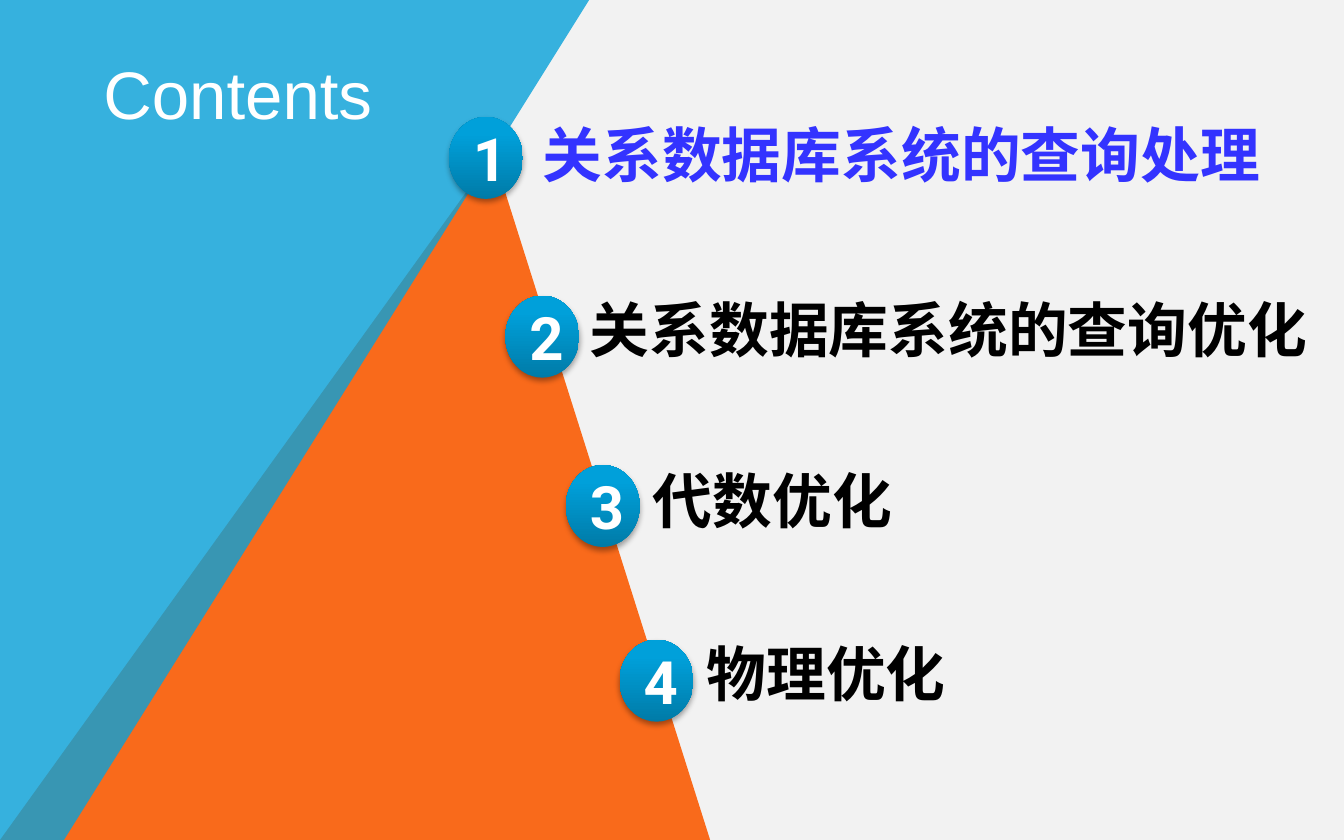
"""Build a contents slide with four numbered topics along a slope."""
import lxml.etree
import pptx
import pptx.dml.color
import pptx.enum.shapes
import pptx.enum.text
import pptx.oxml.ns
import pptx.util

Inches = pptx.util.Inches
RGBColor = pptx.dml.color.RGBColor

BACKGROUND = RGBColor(0xF2, 0xF2, 0xF2)
ORANGE = RGBColor(0xF9, 0x6A, 0x1B)
SKY = RGBColor(0x08, 0xA1, 0xD9)
DEEP_BLUE = RGBColor(0x00, 0x7B, 0xA8)
BRIGHT_BLUE = RGBColor(0x00, 0xA0, 0xDA)
CURRENT = RGBColor(0x33, 0x33, 0xFF)
BLACK = RGBColor(0, 0, 0)
WHITE = RGBColor(0xFF, 0xFF, 0xFF)

ORANGE_PEAK = [(0, 6.25), (3.67, 1.15), (5.29, 6.27)]
SKY_PANEL = [(-0.01, 6.29), (0, -0.01), (4.39, -0.01), (0.47, 6.26)]

TOPICS = [
    ("关系数据库系统的查询处理", CURRENT, (3.34, 0.87), (3.94, 0.83, 5.63)),
    ("关系数据库系统的查询优化", BLACK, (3.76, 2.2), (4.29, 2.13, 5.59)),
    ("代数优化", BLACK, (4.21, 3.46), (4.76, 3.4, 1.99)),
    ("物理优化", BLACK, (4.61, 4.76), (5.16, 4.69, 2.13)),
]


def add_child(parent, tag, **attributes):
    """Append a drawing element with the given attributes."""
    child = lxml.etree.SubElement(parent, pptx.oxml.ns.qn(tag))
    for name, value in attributes.items():
        child.set(name, str(value))
    return child


def add_panel(page, points, color, opacity=100):
    """Draw a filled polygon through points given in inches."""
    corners = [(Inches(x), Inches(y)) for x, y in points]
    builder = page.shapes.build_freeform(*corners[0])
    builder.add_line_segments(corners[1:], close=True)
    panel = builder.convert_to_shape()
    panel.shadow.inherit = False
    panel.fill.solid()
    panel.fill.fore_color.rgb = color
    panel.line.fill.background()
    if opacity < 100:
        tint = panel.fill._xPr.find(".//" + pptx.oxml.ns.qn("a:srgbClr"))
        add_child(tint, "a:alpha", val=opacity * 1000)


def write_text(shape, text, size, font, color, bold=False):
    """Put one styled paragraph into a shape and return it."""
    para = shape.text_frame.paragraphs[0]
    para.text = text
    para.font.size = pptx.util.Pt(size)
    para.font.name = font
    para.font.bold = bold
    para.font.color.rgb = color
    return para


def add_label(page, text, left, top, width, size, color, bold=False):
    """Add a wrapping text box with one line of text."""
    box = page.shapes.add_textbox(
        Inches(left), Inches(top), Inches(width), Inches(0.64))
    box.text_frame.word_wrap = True
    write_text(box, text, size, "Arial", color, bold)


def add_badge(page, number, left, top):
    """Add a numbered gradient ellipse with a soft shadow."""
    badge = page.shapes.add_shape(
        pptx.enum.shapes.MSO_SHAPE.OVAL,
        Inches(left), Inches(top), Inches(0.55), Inches(0.61))
    badge.fill.gradient()
    badge.fill.gradient_angle = 90
    stops = badge.fill.gradient_stops
    for stop, position, color in zip(stops, (0, 0.8), (DEEP_BLUE, BRIGHT_BLUE)):
        stop.position = position
        stop.color.rgb = color
    badge.line.fill.background()
    badge.shadow.inherit = False
    effects = badge.element.spPr.find(pptx.oxml.ns.qn("a:effectLst"))
    shadow = add_child(
        effects, "a:outerShdw", blurRad=pptx.util.Pt(3.1),
        dist=pptx.util.Pt(1.8), dir=90 * 60000, rotWithShape=0)
    shade = add_child(shadow, "a:srgbClr", val=BLACK)
    add_child(shade, "a:alpha", val=35000)
    badge.text_frame.vertical_anchor = pptx.enum.text.MSO_ANCHOR.MIDDLE
    para = write_text(badge, str(number), 32, "Roboto", WHITE, bold=True)
    para.alignment = pptx.enum.text.PP_ALIGN.CENTER


def main():
    """Build and save the contents slide."""
    deck = pptx.Presentation()
    deck.slide_width = Inches(10)
    deck.slide_height = Inches(6.25)
    page = deck.slides.add_slide(deck.slide_layouts[6])
    page.background.fill.solid()
    page.background.fill.fore_color.rgb = BACKGROUND
    add_panel(page, ORANGE_PEAK, ORANGE)
    add_panel(page, SKY_PANEL, SKY, opacity=80)
    add_label(page, "Contents", 0.67, 0.34, 2.68, 36, WHITE)
    for number, (text, color, badge_at, label_at) in enumerate(TOPICS, start=1):
        add_badge(page, number, *badge_at)
        add_label(page, text, *label_at, 32, color, bold=True)
    deck.save("out.pptx")


if __name__ == "__main__":
    main()
